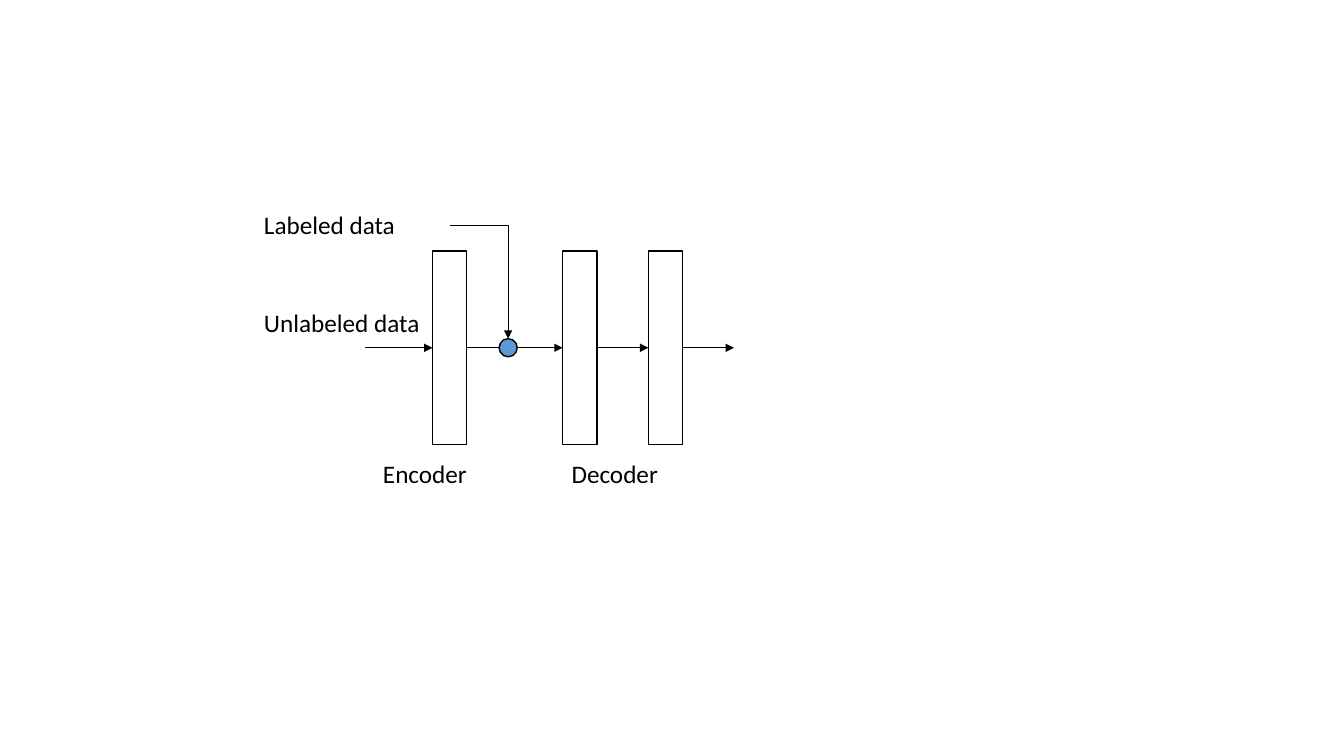
from lxml.etree import SubElement
from pptx import Presentation
from pptx.dml.color import RGBColor
from pptx.enum.shapes import MSO_CONNECTOR, MSO_SHAPE
from pptx.enum.text import MSO_AUTO_SIZE
from pptx.oxml.ns import qn
from pptx.util import Emu, Pt

BLACK = "000000"
NODE_BLUE = "5B9BD5"
FLOW_Y = 345
LAYER_WIDTH, LAYER_HEIGHT = 34, 192
NODE_X, NODE_SIZE = 504, 18
LAYER_LEFTS = (429, 558, 643)
FLOW_ARROWS = ((362, 429), (463, 508), (506, 558), (592, 643), (677, 728))
LABELS = (
    ("Encoder", 370, 450, 125, 40),
    ("Decoder", 557, 450, 125, 40),
    ("Unlabeled data", 252, 300, 194, 41),
    ("Labeled data", 252, 203, 194, 41),
)
FONT_FORMAT = {"name": "Calibri", "size": Pt(18)}
FRAME_FORMAT = {"word_wrap": True, "auto_size": MSO_AUTO_SIZE.SHAPE_TO_FIT_TEXT}


def px(*lengths):
    return [Emu(length * 9144) for length in lengths]


def color(hex_string):
    return RGBColor.from_string(hex_string)


def apply_format(target, values):
    for name, value in values.items():
        setattr(target, name, value)


def format_line(line, width):
    line.color.rgb = color(BLACK)
    line.width = Pt(width)


def add_outlined(slide, kind, box, fill=None):
    shape = slide.shapes.add_shape(kind, *px(*box))
    shape.shadow.inherit = False
    if fill:
        shape.fill.solid()
        shape.fill.fore_color.rgb = color(fill)
    else:
        shape.fill.background()
    format_line(shape.line, 1)


def add_arrow(slide, start, end, bent=False):
    kind = MSO_CONNECTOR.ELBOW if bent else MSO_CONNECTOR.STRAIGHT
    connector = slide.shapes.add_connector(kind, *px(*start, *end))
    format_line(connector.line, 0.5)
    properties = connector._element.spPr
    SubElement(properties.find(qn("a:ln")), qn("a:tailEnd"), type="triangle")
    SubElement(properties, qn("a:effectLst"))
    if bent:
        properties.find(qn("a:prstGeom")).set("prst", "bentConnector2")


def add_label(slide, text, *box):
    frame = slide.shapes.add_textbox(*px(*box)).text_frame
    apply_format(frame, FRAME_FORMAT)
    run = frame.paragraphs[0].add_run()
    run.text = text
    apply_format(run.font, FONT_FORMAT)
    run.font.color.rgb = color(BLACK)


def main():
    presentation = Presentation()
    presentation.slide_width, presentation.slide_height = px(1333, 750)
    slide = presentation.slides.add_slide(presentation.slide_layouts[6])

    layer_top = FLOW_Y - LAYER_HEIGHT // 2
    for left in LAYER_LEFTS:
        add_outlined(slide, MSO_SHAPE.RECTANGLE, (left, layer_top, LAYER_WIDTH, LAYER_HEIGHT))
    for start_x, end_x in FLOW_ARROWS:
        add_arrow(slide, (start_x, FLOW_Y), (end_x, FLOW_Y))

    radius = NODE_SIZE // 2
    node_top = FLOW_Y - radius
    node_box = (NODE_X - radius, node_top, NODE_SIZE, NODE_SIZE)
    add_outlined(slide, MSO_SHAPE.OVAL, node_box, NODE_BLUE)

    for label in LABELS:
        add_label(slide, *label)
    add_arrow(slide, (446, 224), (NODE_X, node_top), bent=True)
    presentation.save("out.pptx")


if __name__ == "__main__":
    main()
